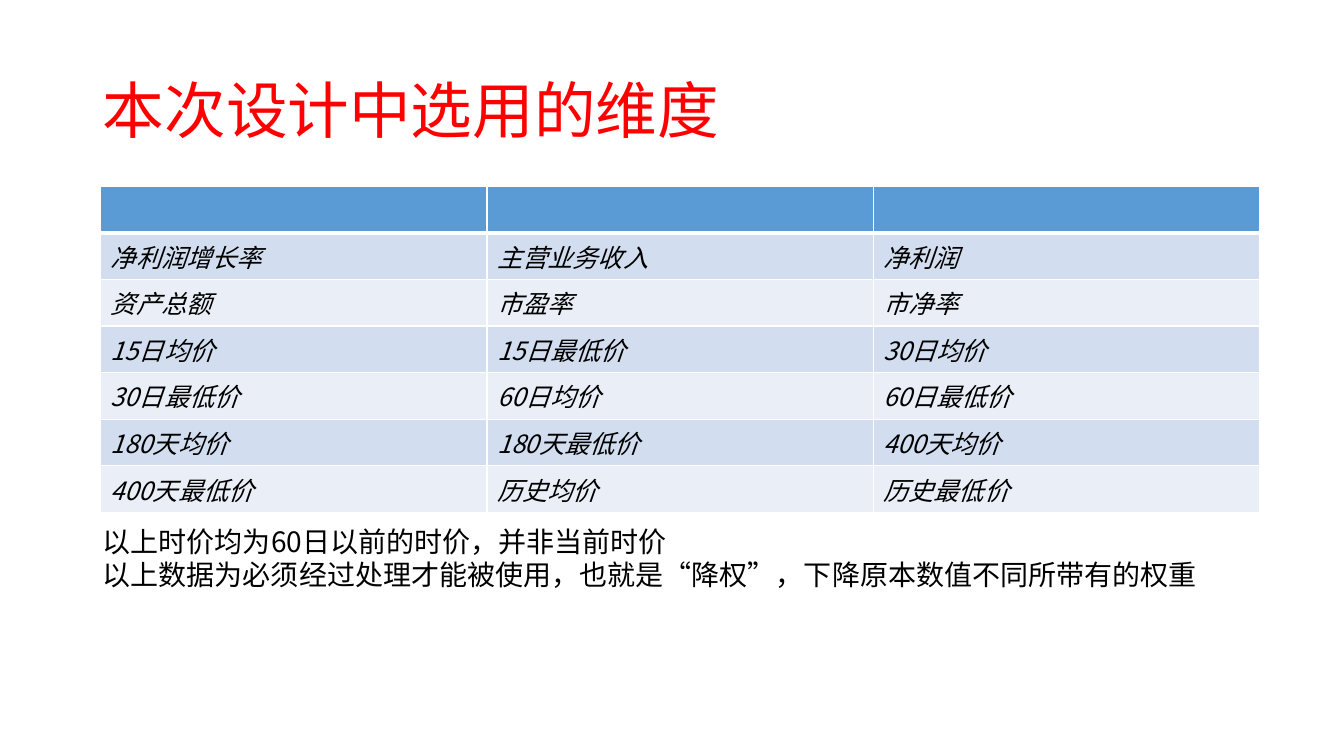
from lxml import etree
from pptx import Presentation
from pptx.dml.color import RGBColor
from pptx.enum.text import MSO_ANCHOR, MSO_AUTO_SIZE, PP_ALIGN
from pptx.oxml.ns import qn
from pptx.util import Pt

LEFT = PP_ALIGN.LEFT
MIDDLE = MSO_ANCHOR.MIDDLE
NO_FIT = MSO_AUTO_SIZE.NONE
GROW = MSO_AUTO_SIZE.SHAPE_TO_FIT_TEXT
EMU_PER_PX = 9144

FACTORS = [
    ["", "", ""],
    ["净利润增长率", "主营业务收入", "净利润"],
    ["资产总额", "市盈率", "市净率"],
    ["15日均价", "15日最低价", "30日均价"],
    ["30日最低价", "60日均价", "60日最低价"],
    ["180天均价", "180天最低价", "400天均价"],
    ["400天最低价", "历史均价", "历史最低价"],
]
NOTES = [
    "以上时价均为60日以前的时价，并非当前时价",
    "以上数据为必须经过处理才能被使用，也就是“降权”，下降原本数值不同所带有的权重",
]


def px(length):
    return length * EMU_PER_PX


def color(code):
    return RGBColor.from_string(code)


class Page:
    FONT = "Noto Sans CJK SC"
    HEADER = "5B9BD5"
    BANDS = ["EAEFF7", "D2DEEF"]
    BORDER = "FFFFFF"

    def __init__(self, deck):
        self.slide = deck.slides.add_slide(deck.slide_layouts[5])

    def fill_para(self, para, text, size, code="000000", italic=False):
        para.text = text
        para.alignment = LEFT
        font = para.font
        font.name, font.size, font.italic = self.FONT, Pt(size), italic
        font.color.rgb = color(code)
        latin = font._element.find(qn("a:latin"))
        latin.addnext(latin.makeelement(qn("a:ea"), {"typeface": self.FONT}))

    def title(self, text, left, top, width, height):
        box = self.slide.shapes.title
        box.left, box.top, box.width, box.height = map(px, (left, top, width, height))
        frame = box.text_frame
        frame.auto_size = NO_FIT
        frame.vertical_anchor = MIDDLE
        para = frame.paragraphs[0]
        self.fill_para(para, text, 44, "FF0000")
        para.line_spacing = 0.9

    def borders(self, cell, top, bottom):
        properties = cell._tc.get_or_add_tcPr()
        widths = {"lnL": 1, "lnR": 1, "lnT": top, "lnB": bottom}
        for position, (side, width) in enumerate(widths.items()):
            line = etree.Element(qn("a:" + side), w=str(Pt(width)))
            fill = etree.SubElement(line, qn("a:solidFill"))
            etree.SubElement(fill, qn("a:srgbClr"), val=self.BORDER)
            properties.insert(position, line)

    def table(self, rows, left, top, column_width, row_height):
        columns = len(rows[0])
        table = self.slide.shapes.add_table(
            len(rows), columns, px(left), px(top),
            px(column_width * columns), px(row_height * len(rows))).table
        for column in table.columns:
            column.width = px(column_width)
        for r, texts in enumerate(rows):
            for c, text in enumerate(texts):
                cell = table.cell(r, c)
                cell.fill.solid()
                cell.fill.fore_color.rgb = color(self.BANDS[r % 2] if r else self.HEADER)
                self.borders(cell, 3 if r == 1 else 1, 1 if r else 3)
                if text:
                    self.fill_para(cell.text_frame.paragraphs[0], text, 18, italic=True)

    def text(self, lines, left, top, width, height):
        box = self.slide.shapes.add_textbox(*map(px, (left, top, width, height)))
        frame = box.text_frame
        frame.word_wrap = True
        frame.auto_size = GROW
        for index, line in enumerate(lines):
            para = frame.add_paragraph() if index else frame.paragraphs[0]
            self.fill_para(para, line, 20)


def main():
    deck = Presentation()
    deck.slide_width, deck.slide_height = px(1333), px(750)
    page = Page(deck)
    page.title("本次设计中选用的维度", 92, 40, 1150, 145)
    page.table(FACTORS, left=100, top=185, column_width=383, row_height=46)
    page.text(NOTES, 92, 515, 1109, 77)
    deck.save("out.pptx")


if __name__ == "__main__":
    main()
